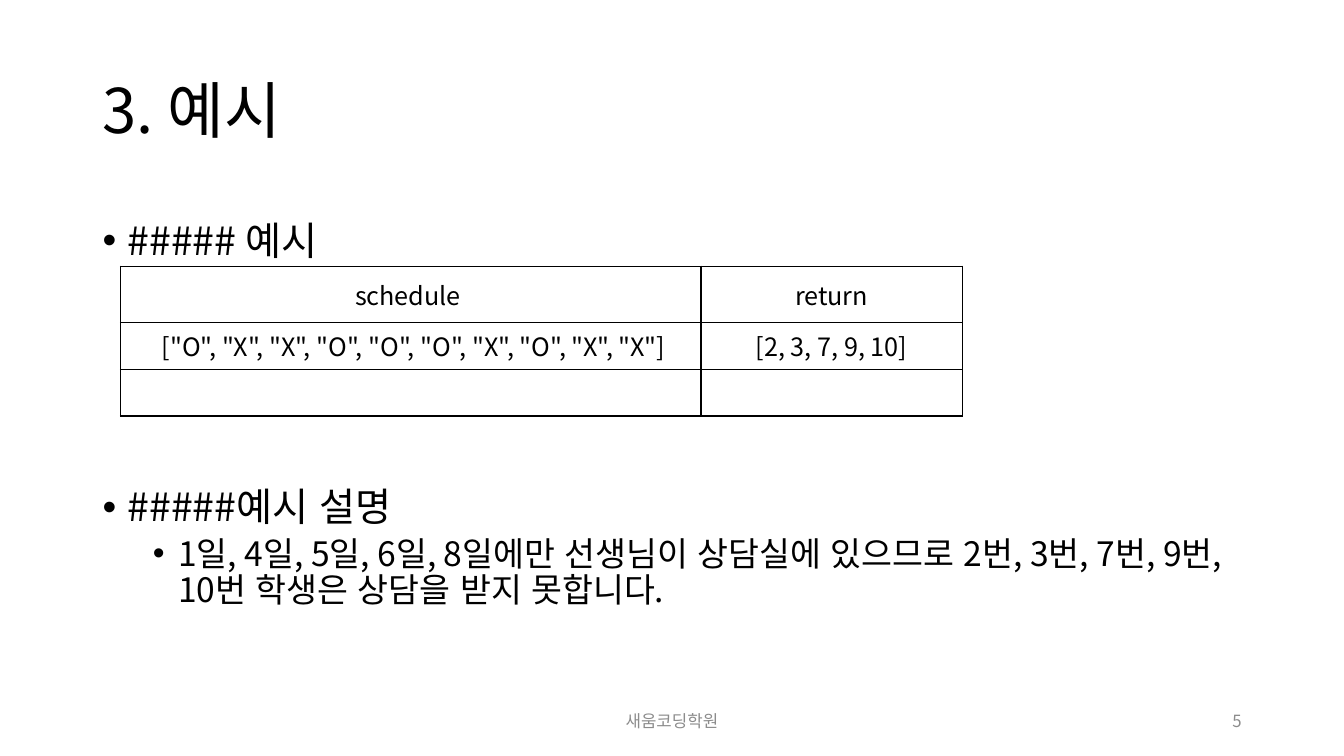
from pptx import Presentation
from pptx.dml.color import RGBColor
from pptx.enum.text import MSO_ANCHOR, PP_ALIGN
from pptx.oxml import parse_xml
from pptx.oxml.ns import nsdecls
from pptx.util import Pt

LEFT, CENTER, RIGHT = PP_ALIGN.LEFT, PP_ALIGN.CENTER, PP_ALIGN.RIGHT
TOP, MIDDLE = MSO_ANCHOR.TOP, MSO_ANCHOR.MIDDLE
FONT = "Noto Sans CJK KR"
BLACK, GRAY = "000000", "8C8C8C"


def color(code):
    return RGBColor.from_string(code)


def write(para, text, size, code=BLACK, **form):
    for name, value in form.items():
        setattr(para, name, value)
    run = para.add_run()
    run.text = text
    for name, value in {"size": Pt(size), "name": FONT}.items():
        setattr(run.font, name, value)
    run.font.color.rgb = color(code)
    props = run._r.get_or_add_rPr()
    props.set("lang", "ko-KR")
    props.append(parse_xml(f'<a:ea {nsdecls("a")} typeface="{FONT}"/>'))


deck = Presentation()
deck.slide_width, deck.slide_height = Pt(960), Pt(540)
slide = deck.slides.add_slide(deck.slide_layouts[6])

title = ("3. 예시", 44, BLACK, LEFT, 0.9)
foot = ("새움코딩학원", 12, GRAY, CENTER, 1.0)
number = ("5", 12, GRAY, RIGHT, 1.0)
frames = []
for box, anchor, label in [
    ((66, 29, 828, 104), MIDDLE, title),
    ((66.2, 144, 828, 367), TOP, None),
    ((318, 500.5, 324, 29), MIDDLE, foot),
    ((678, 500.5, 216, 29), MIDDLE, number),
]:
    frame = slide.shapes.add_textbox(*map(Pt, box)).text_frame
    frame.word_wrap, frame.vertical_anchor = True, anchor
    frames.append(frame)
    if label:
        text, size, code, align, space = label
        write(frame.paragraphs[0], text, size, code, alignment=align, line_spacing=space)

body = frames[1]
notes = [
    ("##### 예시", 28, 18, 1.2, 8),
    ("#####예시 설명", 28, 18, 0.9, 160.5),
    ("1일, 4일, 5일, 6일, 8일에만 선생님이 상담실에 있으므로 2번, 3번, 7번, 9번, 10번 학생은 상담을 받지 못합니다.", 24, 54, 0.9, 5),
]
for i, (text, size, indent, space, gap) in enumerate(notes):
    para = body.add_paragraph() if i else body.paragraphs[0]
    write(para, text, size, line_spacing=space, space_before=Pt(gap))
    props = para._p.get_or_add_pPr()
    props.set("marL", str(Pt(indent)))
    props.set("indent", str(Pt(-18)))
    for tag in ('buFont typeface="Arial"', 'buChar char="•"'):
        props.append(parse_xml(f'<a:{tag} {nsdecls("a")}/>'))

rows = [
    ("schedule ", "return"),
    ('\u00a0["O", "X", "X", "O", "O", "O", "X", "O", "X", "X"]', "[2, 3, 7, 9, 10]"),
    ("", ""),
]
table = slide.shapes.add_table(3, 2, Pt(86.1), Pt(190.2), Pt(601), Pt(107)).table
table.first_row = table.horz_banding = False
for col, width in zip(table.columns, (414.7, 186.5)):
    col.width = Pt(width)
for row, height, texts in zip(table.rows, (40, 33.5, 33.5), rows):
    row.height = Pt(height)
    for cell, text in zip(row.cells, texts):
        cell.vertical_anchor = MIDDLE
        if text:
            write(cell.text_frame.paragraphs[0], text, 18, alignment=CENTER)
        props = cell._tc.get_or_add_tcPr()
        for side in "LRTB":
            props.append(parse_xml(
                f'<a:ln{side} {nsdecls("a")} w="{Pt(1)}"><a:solidFill>'
                f'<a:srgbClr val="{BLACK}"/></a:solidFill></a:ln{side}>'))
        cell.fill.background()

deck.save("out.pptx")
